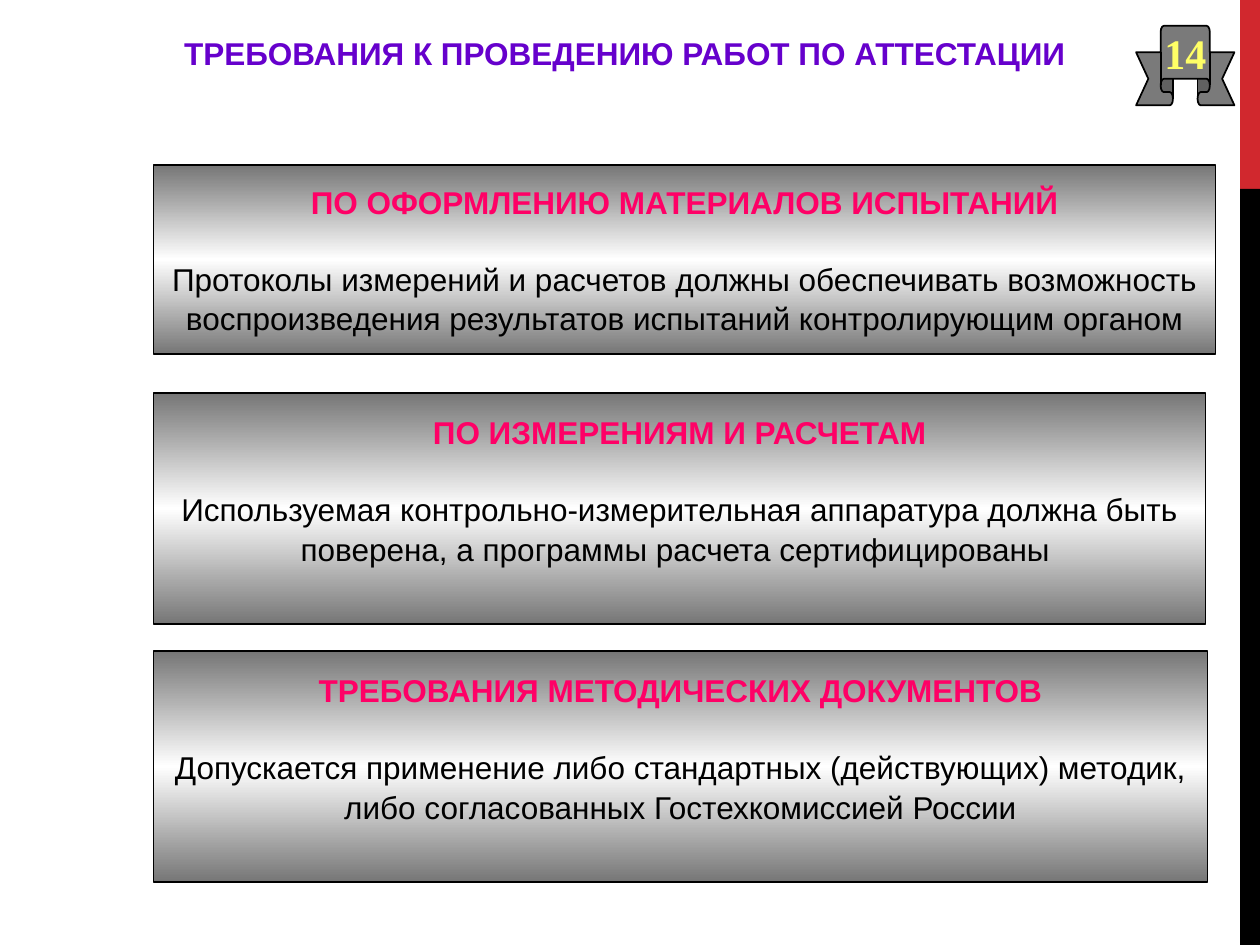
from copy import deepcopy

from pptx import Presentation
from pptx.dml.color import RGBColor
from pptx.enum.shapes import MSO_SHAPE
from pptx.enum.text import MSO_ANCHOR, PP_ALIGN
from pptx.oxml.ns import qn
from pptx.util import Pt

RECT = MSO_SHAPE.RECTANGLE
RIBBON = MSO_SHAPE.UP_RIBBON
MIDDLE = MSO_ANCHOR.MIDDLE
CENTER = PP_ALIGN.CENTER

TITLE = "ТРЕБОВАНИЯ К ПРОВЕДЕНИЮ РАБОТ ПО АТТЕСТАЦИИ"
LINE_HEIGHT = 21.5
LINE_SPACING = 1.04
PANEL_LEFT = 87.8
PANELS = [
    (94.3, 607, 108, 0, "ПО ОФОРМЛЕНИЮ МАТЕРИАЛОВ ИСПЫТАНИЙ",
     "Протоколы измерений и расчетов должны обеспечивать возможность "
     "воспроизведения результатов испытаний контролирующим органом"),
    (224.6, 601.2, 132, LINE_HEIGHT, "ПО ИЗМЕРЕНИЯМ И РАСЧЕТАМ",
     "Используемая контрольно-измерительная аппаратура должна быть "
     "поверена, а программы расчета сертифицированы "),
    (372, 602.2, 132, LINE_HEIGHT, "ТРЕБОВАНИЯ МЕТОДИЧЕСКИХ ДОКУМЕНТОВ",
     "Допускается применение либо стандартных (действующих) методик, "
     "либо согласованных Гостехкомиссией России"),
]


def rgb(value):
    return RGBColor.from_string(value)


def add_run(p, text, color, size=18, bold=True, font="Arial"):
    p.alignment = CENTER
    r = p.add_run()
    r.text = text
    r.font.name = font
    r.font.size = Pt(size)
    r.font.bold = bold
    r.font.color.rgb = rgb(color)


def set_frame(tf, side=7.2, edge=3.6, bottom=0, wrap=True):
    tf.word_wrap = wrap
    tf.vertical_anchor = MIDDLE
    tf.margin_left = tf.margin_right = Pt(side)
    tf.margin_top = Pt(edge)
    tf.margin_bottom = Pt(edge + bottom)


def add_shape(s, kind, left, top, width, height, fill=None, line_width=0):
    sp = s.shapes.add_shape(kind, Pt(left), Pt(top), Pt(width), Pt(height))
    sp.shadow.inherit = False
    if fill:
        sp.fill.solid()
        sp.fill.fore_color.rgb = rgb(fill)
    if line_width:
        sp.line.color.rgb = rgb("000000")
        sp.line.width = Pt(line_width)
    else:
        sp.line.fill.background()
    return sp


def set_gradient(sp, colors):
    sp.fill.gradient()
    sp.fill.gradient_angle = 90
    stop_list = sp._element.spPr.find(".//" + qn("a:gsLst"))
    while len(stop_list) < len(colors):
        stop_list.append(deepcopy(stop_list[0]))
    for i, (stop, color) in enumerate(zip(sp.fill.gradient_stops, colors)):
        stop.position = i / (len(colors) - 1)
        stop.color.rgb = rgb(color)


def add_panel(s, top, width, height, space_below, heading, body):
    sp = add_shape(s, RECT, PANEL_LEFT, top, width, height, line_width=0.75)
    set_gradient(sp, ["767676", "FFFFFF", "767676"])
    tf = sp.text_frame
    set_frame(tf, bottom=space_below)
    p = tf.paragraphs[0]
    p.line_spacing = LINE_SPACING
    add_run(p, heading, "FF0066")
    p = tf.add_paragraph()
    p.line_spacing = LINE_SPACING
    p.space_before = Pt(LINE_HEIGHT)
    add_run(p, body, "000000", bold=False)


def add_title(s):
    sp = s.shapes.title
    sp.left, sp.top, sp.width, sp.height = Pt(93.6), Pt(0), Pt(527), Pt(60.5)
    set_frame(sp.text_frame, wrap=False)
    add_run(sp.text_frame.paragraphs[0], TITLE, "6600CC")


def add_number_ribbon(s, number):
    sp = add_shape(s, RIBBON, 649.2, 14.8, 56.2, 45.4, "7A7A7A", 1)
    sp.adjustments[0] = 0.3333
    sp.adjustments[1] = 0.5
    set_frame(sp.text_frame, side=0, edge=0, wrap=False)
    add_run(sp.text_frame.paragraphs[0], number, "FFFF66", 24,
            font="Times New Roman")


def main():
    prs = Presentation()
    prs.slide_width, prs.slide_height = Pt(720), Pt(540)
    s = prs.slides.add_slide(prs.slide_layouts[5])
    add_shape(s, RECT, 708.7, 0, 11.3, 108, "D1282E")
    add_shape(s, RECT, 708.7, 108, 11.3, 432, "000000")
    for panel in PANELS:
        add_panel(s, *panel)
    add_title(s)
    add_number_ribbon(s, "14")
    prs.save("out.pptx")


if __name__ == "__main__":
    main()
